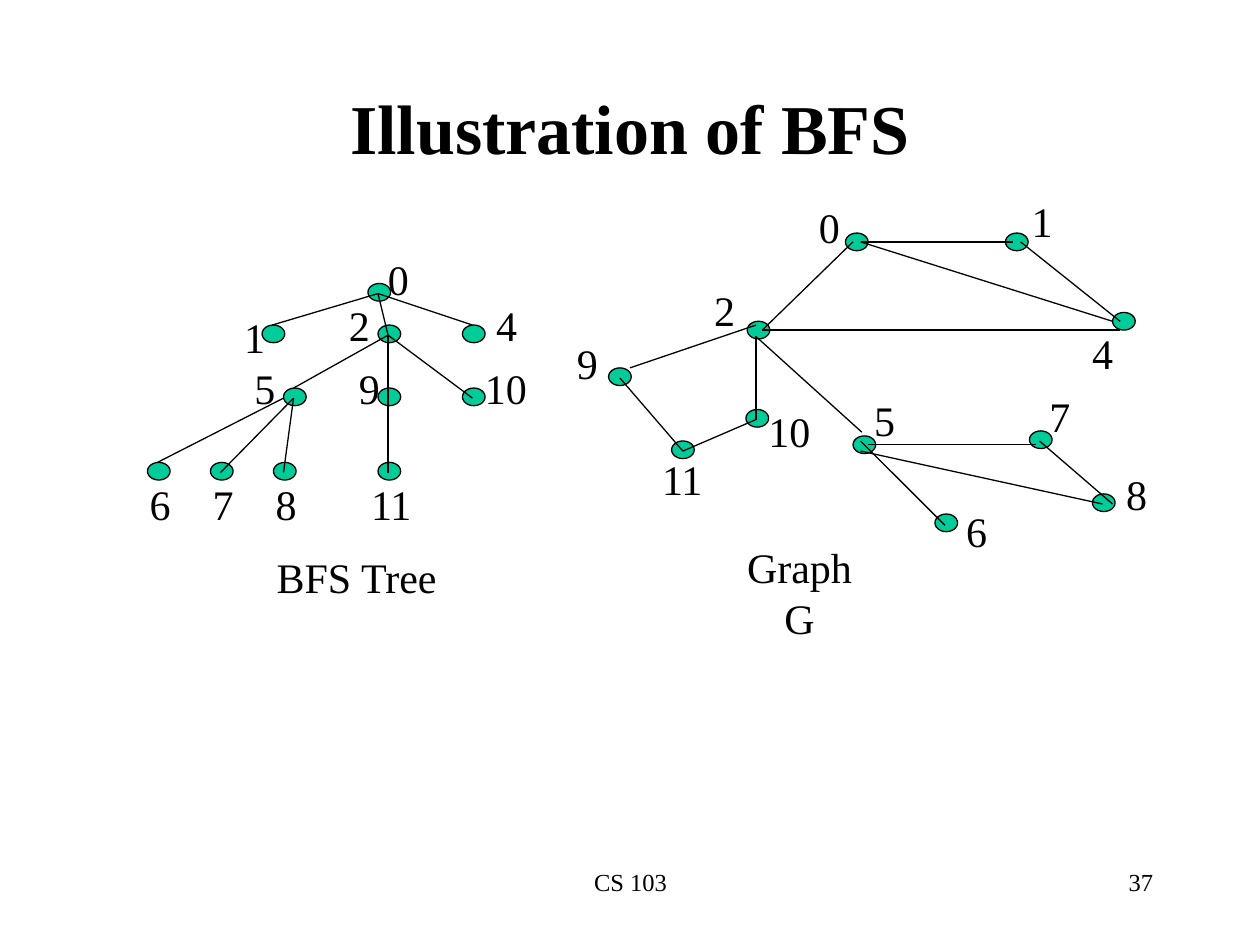
from lxml.etree import SubElement
from pptx import Presentation
from pptx.dml.color import RGBColor
from pptx.enum.shapes import MSO_CONNECTOR, MSO_SHAPE
from pptx.enum.text import MSO_ANCHOR, MSO_AUTO_SIZE, PP_ALIGN
from pptx.oxml.ns import qn
from pptx.util import Pt

BLACK = RGBColor(0x00, 0x00, 0x00)
GREEN = RGBColor(0x00, 0xCC, 0x99)

EMU_PER_PX = 9144  # 100 px to the inch
NODE_WIDTH, NODE_HEIGHT = 18, 14
ANCHOR = 8  # where tree edges meet a node, from its top left corner
LABEL_HEIGHT = 50
LABEL_WIDTHS = {1: 36, 2: 53}  # by number of digits

# vertex: (node left, node top, label left, label top)
GRAPH_VERTICES = {
    "0": (671, 185, 640, 155),
    "1": (798, 185, 809, 150),
    "2": (593, 255, 557, 221),
    "4": (883, 248, 857, 255),
    "5": (677, 346, 684, 308),
    "6": (742, 408, 757, 396),
    "7": (817, 342, 823, 305),
    "8": (867, 392, 884, 367),
    "9": (483, 292, 448, 263),
    "10": (592, 325, 600, 317),
    "11": (533, 350, 515, 355),
}
GRAPH_EDGES = [
    (683, 192, 804, 192),  # 0-1
    (605, 262, 889, 262),  # 2-4
    (605, 262, 677, 192),  # 2-0
    (810, 192, 889, 255),  # 1-4
    (689, 353, 822, 353),  # 5-7
    (683, 192, 883, 255),  # 0-4
    (684, 343, 601, 268),  # 5-2
    (825, 350, 883, 400),  # 7-8
    (683, 350, 750, 417),  # 5-6
    (683, 358, 875, 400),  # 5-8
    (600, 258, 500, 292),  # 2-9
    (600, 267, 600, 333),  # 2-10
    (492, 300, 542, 358),  # 9-11
    (600, 333, 542, 358),  # 10-11
]
TREE_VERTICES = {
    "0": (292, 225, 298, 196),
    "1": (208, 258, 184, 242),
    "2": (300, 258, 267, 233),
    "4": (367, 258, 384, 233),
    "5": (225, 308, 192, 283),
    "9": (300, 308, 275, 283),
    "10": (367, 308, 375, 283),
    "6": (117, 367, 109, 375),
    "7": (167, 367, 159, 375),
    "8": (217, 367, 209, 375),
    "11": (300, 367, 284, 375),
}
# (parent, child, drop of the line's end below the child's top)
TREE_EDGES = [
    ("0", "1", 0), ("0", "2", ANCHOR), ("0", "4", 0),
    ("2", "5", 0), ("2", "9", ANCHOR), ("2", "10", ANCHOR),
    ("5", "6", 0), ("5", "7", ANCHOR), ("5", "8", ANCHOR),
    ("9", "11", ANCHOR),
]


def px(*lengths):
    return [length * EMU_PER_PX for length in lengths]


class SlidePainter:
    font_name = "Times New Roman"
    line_width = Pt(0.75)

    def __init__(self, slide):
        self.slide = slide

    def text(self, words, left, top, width, height, size=24, bold=False,
             align=PP_ALIGN.CENTER, anchor=MSO_ANCHOR.TOP, wrap=True):
        box = self.slide.shapes.add_textbox(*px(left, top, width, height))
        frame = box.text_frame
        frame.word_wrap = wrap
        frame.auto_size = MSO_AUTO_SIZE.NONE if wrap else MSO_AUTO_SIZE.SHAPE_TO_FIT_TEXT
        frame.vertical_anchor = anchor
        paragraph = frame.paragraphs[0]
        paragraph.alignment = align
        run = paragraph.add_run()
        run.text = words
        run.font.name = self.font_name
        run.font.size = Pt(size)
        run.font.bold = bold
        run.font.color.rgb = BLACK

    def node(self, left, top):
        oval = self.slide.shapes.add_shape(
            MSO_SHAPE.OVAL, *px(left, top, NODE_WIDTH, NODE_HEIGHT))
        oval.shadow.inherit = False
        oval.fill.solid()
        oval.fill.fore_color.rgb = GREEN
        oval.line.color.rgb = BLACK
        oval.line.width = self.line_width

    def edge(self, *ends):
        edge = self.slide.shapes.add_connector(MSO_CONNECTOR.STRAIGHT, *px(*ends))
        edge.line.color.rgb = BLACK
        edge.line.width = self.line_width
        SubElement(edge._element.spPr, qn("a:effectLst"))

    def network(self, vertices, edges):
        """Draw the nodes, the edges over them, then the labels."""
        for left, top, _, _ in vertices.values():
            self.node(left, top)
        for ends in edges:
            self.edge(*ends)
        for label, (_, _, left, top) in vertices.items():
            self.text(label, left, top, LABEL_WIDTHS[len(label)], LABEL_HEIGHT,
                      wrap=False)


def tree_edge_ends(parent, child, drop):
    parent_left, parent_top = TREE_VERTICES[parent][:2]
    child_left, child_top = TREE_VERTICES[child][:2]
    # The edge to 6 leaves from the left side of its parent.
    start = 0 if child == "6" else ANCHOR
    return (parent_left + start, parent_top + ANCHOR,
            child_left + ANCHOR, child_top + drop)


def main():
    presentation = Presentation()
    presentation.slide_width, presentation.slide_height = px(1000, 750)
    blank_layout = presentation.slide_layouts[6]
    painter = SlidePainter(presentation.slides.add_slide(blank_layout))

    painter.text("CS 103", 342, 683, 317, 50, size=14)
    painter.text("37", 717, 683, 208, 50, size=14, align=PP_ALIGN.RIGHT)
    painter.text("Illustration of BFS", 75, 67, 850, 67, size=40, bold=True,
                 anchor=MSO_ANCHOR.MIDDLE)

    painter.network(GRAPH_VERTICES, GRAPH_EDGES)
    painter.text("Graph G", 567, 425, 135, LABEL_HEIGHT, wrap=False)

    painter.network(TREE_VERTICES, [tree_edge_ends(*edge) for edge in TREE_EDGES])
    painter.text("BFS Tree", 209, 433, 148, LABEL_HEIGHT, wrap=False)

    presentation.save("out.pptx")


if __name__ == "__main__":
    main()
